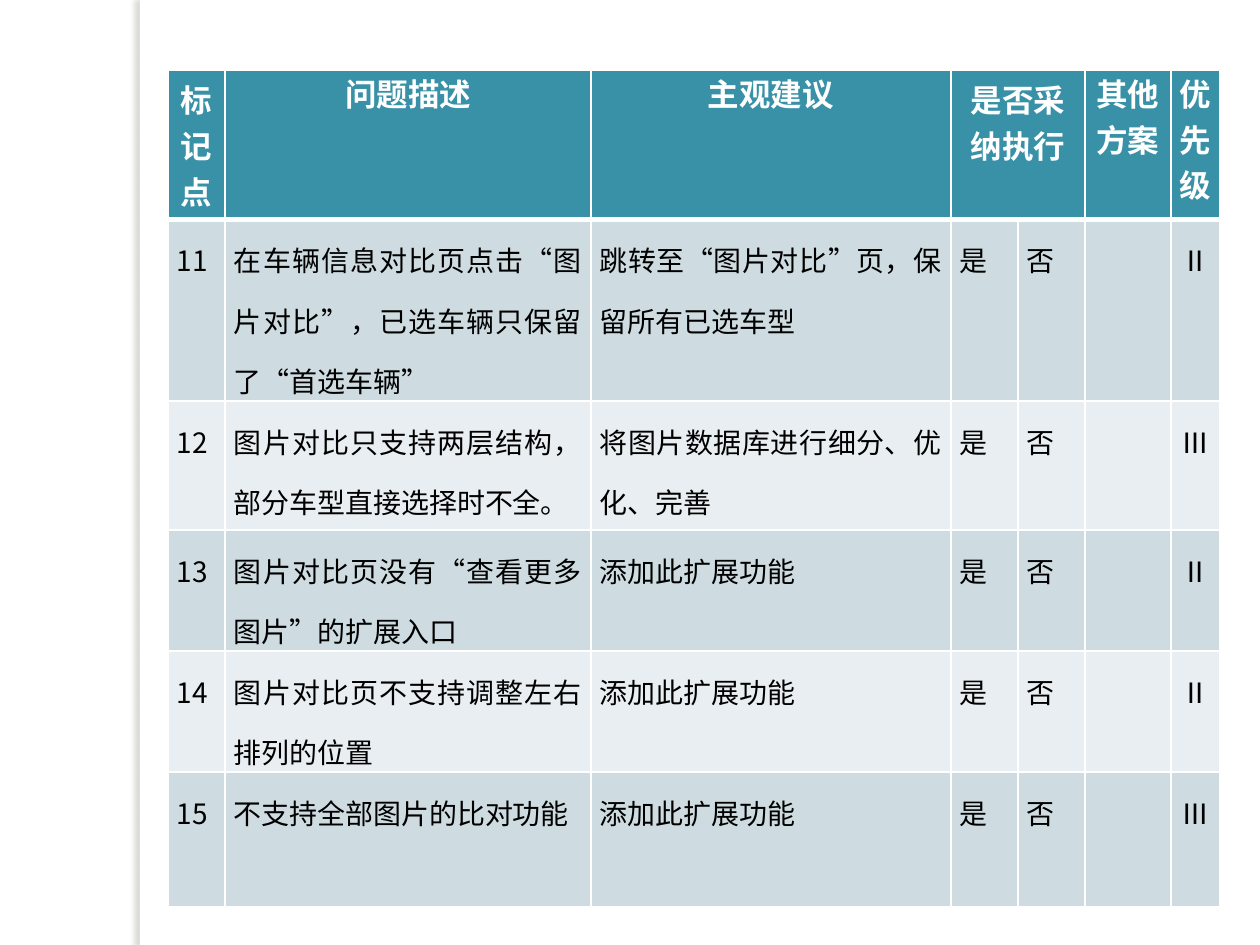
from lxml.etree import SubElement
from pptx import Presentation
from pptx.dml.color import RGBColor
from pptx.enum.shapes import MSO_SHAPE
from pptx.enum.text import PP_ALIGN
from pptx.oxml import parse_xml
from pptx.oxml.ns import nsdecls, qn
from pptx.util import Pt

PX = 914400 // 126
WHITE = RGBColor(0xFF, 0xFF, 0xFF)
BLACK = RGBColor(0x00, 0x00, 0x00)
TEAL = RGBColor(0x38, 0x91, 0xA7)
BANDS = [RGBColor(0xCE, 0xDC, 0xE1), RGBColor(0xE8, 0xEE, 0xF1)]
LATIN = "Calibri"
CJK = "Noto Sans CJK SC"

COLS = [57, 366, 360, 67, 67, 86, 49]
ROWS = [129, 175, 129, 120, 116, 135]
HEADS = ["标记点", "问题描述", "主观建议", "是否采纳执行", "", "其他方案", "优先级"]
ADD = "添加此扩展功能"
ISSUES = [
    ("在车辆信息对比页点击“图片对比”，已选车辆只保留了“首选车辆”",
     "跳转至“图片对比”页，保留所有已选车型", "Ⅱ"),
    ("图片对比只支持两层结构，部分车型直接选择时不全。",
     "将图片数据库进行细分、优化、完善", "Ⅲ"),
    ("图片对比页没有“查看更多图片”的扩展入口", ADD, "Ⅱ"),
    ("图片对比页不支持调整左右排列的位置", ADD, "Ⅱ"),
    ("不支持全部图片的比对功能", ADD, "Ⅲ"),
]


def add_strip(slide):
    """Add the white strip whose shadow marks the left margin."""
    strip = slide.shapes.add_shape(
        MSO_SHAPE.RECTANGLE, 140 * PX, 0, 10 * PX, 945 * PX)
    strip.fill.solid()
    strip.fill.fore_color.rgb = WHITE
    strip.line.fill.background()
    strip.shadow.inherit = False
    effects = strip.element.spPr.find(qn("a:effectLst"))
    effects.append(parse_xml(
        f'<a:outerShdw {nsdecls("a")} blurRad="{Pt(3)}" dist="{Pt(3)}" '
        'dir="10800000" algn="tl" rotWithShape="0"><a:srgbClr val="736F63">'
        '<a:alpha val="25000"/></a:srgbClr></a:outerShdw>'))


def set_lines(cell, top, bottom):
    """Draw white cell borders; widths are in points."""
    props = cell._tc.get_or_add_tcPr()
    for side, width in zip("LRTB", (1, 1, top, bottom)):
        line = SubElement(props, qn(f"a:ln{side}"), w=str(Pt(width)))
        fill = SubElement(line, qn("a:solidFill"))
        SubElement(fill, qn("a:srgbClr"), val=str(WHITE))


def paint(cell, color):
    cell.fill.solid()
    cell.fill.fore_color.rgb = color


def set_inset(cell):
    cell.margin_left = cell.margin_right = 9 * PX
    cell.margin_top = cell.margin_bottom = 0


def set_text(cell, text, size, color, align, font=LATIN, bold=False):
    para = cell.text_frame.paragraphs[0]
    para.text = text
    para.alignment = align
    for run in para.runs:
        run.font.size = Pt(size)
        run.font.bold = bold
        run.font.name = font
        run.font.color.rgb = color
        SubElement(run.font._element, qn("a:ea"), typeface=CJK)
    return para


def fill_head(table):
    for col, text in enumerate(HEADS):
        cell = table.cell(0, col)
        set_lines(cell, 1, 3)
        paint(cell, TEAL)
        if col not in (0, 3, 4):
            set_inset(cell)
        set_text(cell, text, 18, WHITE, PP_ALIGN.CENTER, bold=True)
    table.cell(0, 3).merge(table.cell(0, 4))


def fill_issue(table, row, issue):
    fault, advice, rank = issue
    texts = [str(10 + row), fault, advice, "是", "否", "", rank]
    last = len(texts) - 1
    for col, text in enumerate(texts):
        cell = table.cell(row, col)
        set_lines(cell, 3 if row == 1 else 1, 1)
        paint(cell, BANDS[(row - 1) % 2])
        set_inset(cell)
        align = PP_ALIGN.CENTER if col == last else PP_ALIGN.JUSTIFY
        font = CJK if col in (0, last) else LATIN
        para = set_text(cell, text, 16, BLACK, align, font)
        para.line_spacing = 1.5


def add_issues(slide):
    frame = slide.shapes.add_table(
        len(ROWS), len(COLS), 168 * PX, 70 * PX,
        sum(COLS) * PX, sum(ROWS) * PX)
    table = frame.table
    for col, width in zip(table.columns, COLS):
        col.width = width * PX
    for row, height in zip(table.rows, ROWS):
        row.height = height * PX
    fill_head(table)
    for row, issue in enumerate(ISSUES, 1):
        fill_issue(table, row, issue)


def main():
    deck = Presentation()
    deck.slide_width, deck.slide_height = 1260 * PX, 945 * PX
    slide = deck.slides.add_slide(deck.slide_layouts[6])
    add_strip(slide)
    add_issues(slide)
    deck.save("out.pptx")


if __name__ == "__main__":
    main()
